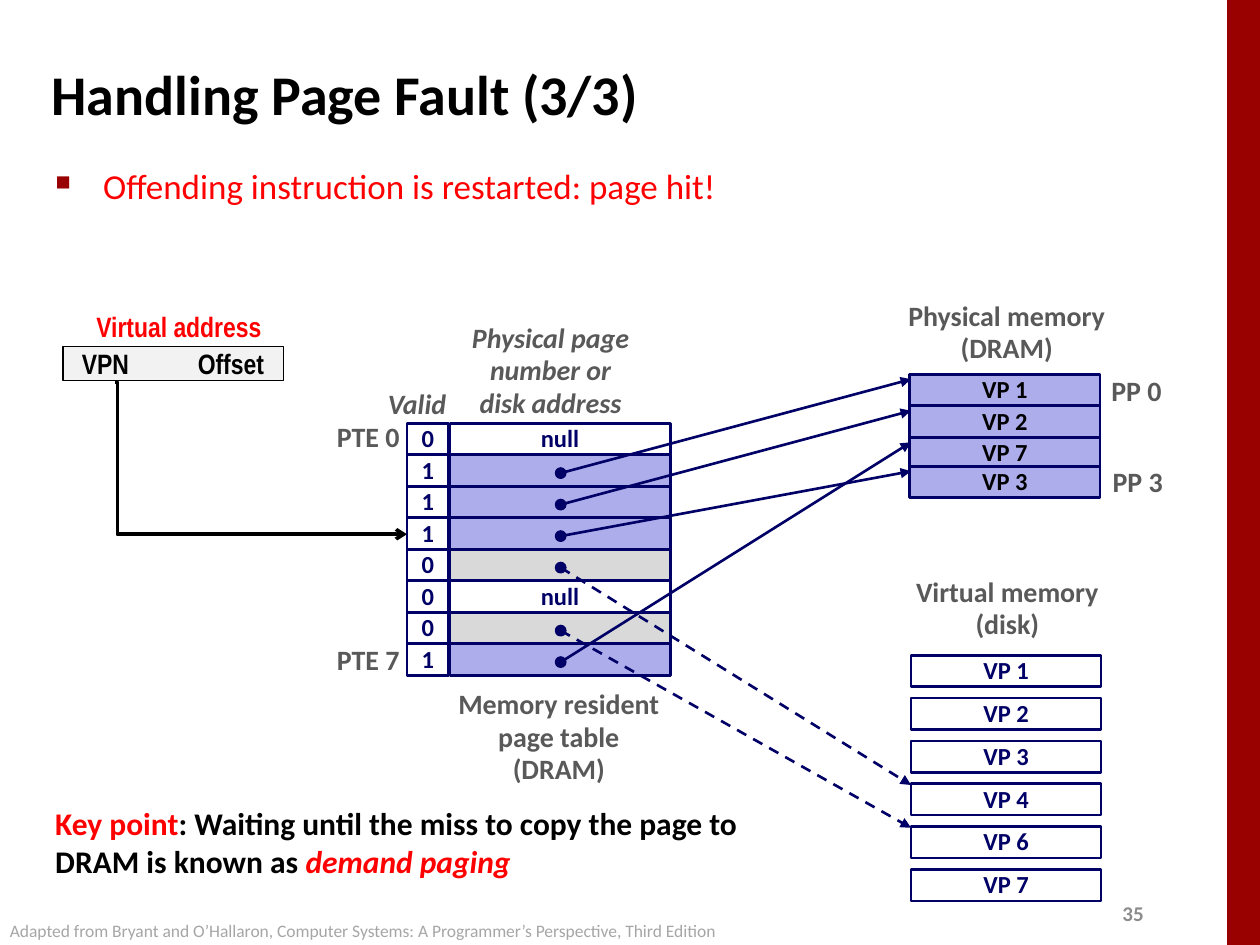
from lxml import etree
from pptx import Presentation
from pptx.dml.color import RGBColor
from pptx.enum.dml import MSO_LINE
from pptx.enum.shapes import MSO_CONNECTOR, MSO_SHAPE
from pptx.enum.text import MSO_ANCHOR, MSO_AUTO_SIZE, PP_ALIGN
from pptx.oxml.ns import qn
from pptx.util import Inches, Pt

LEFT, CENTER, RIGHT = PP_ALIGN.LEFT, PP_ALIGN.CENTER, PP_ALIGN.RIGHT
TOP, MIDDLE = MSO_ANCHOR.TOP, MSO_ANCHOR.MIDDLE
RECT, OVAL = MSO_SHAPE.RECTANGLE, MSO_SHAPE.OVAL
STRAIGHT, ELBOW = MSO_CONNECTOR.STRAIGHT, MSO_CONNECTOR.ELBOW
FIT_SHAPE, DASH = MSO_AUTO_SIZE.SHAPE_TO_FIT_TEXT, MSO_LINE.DASH

NAVY, RESIDENT, ON_DISK = "000066", "ADADEB", "D9D9D9"
BLACK, WHITE, RED, DARK_RED, GRAY = "000000", "FFFFFF", "FF0000", "990000", "595959"


def color(value):
    return RGBColor.from_string(value)


def add_xml(parent, tag, **attributes):
    return etree.SubElement(parent, qn(tag), attributes)


class SlideBuilder:
    font = "Calibri"
    line_spacing = 0.98

    def __init__(self, presentation):
        self.slide = presentation.slides.add_slide(presentation.slide_layouts[5])
        self.shapes = self.slide.shapes

    def style(self, paragraph, size, ink, bold=True, italic=False, align=LEFT, font=None):
        paragraph.alignment = align
        paragraph.font.name = font or self.font
        paragraph.font.size = Pt(size)
        paragraph.font.bold = bold
        paragraph.font.italic = italic
        paragraph.font.color.rgb = color(ink)

    def title(self, text, left, top, width, height):
        title = self.shapes.title
        title.left, title.top = Inches(left), Inches(top)
        title.width, title.height = Inches(width), Inches(height)
        title.text_frame.text = text
        title.text_frame.vertical_anchor = MIDDLE
        self.style(title.text_frame.paragraphs[0], 32, BLACK)

    def label(self, lines, left, top, width, height, size=16, ink=GRAY,
              wrap=False, anchor=TOP, spacing=None, **style):
        box = self.shapes.add_textbox(
            Inches(left), Inches(top), Inches(width), Inches(height))
        frame = box.text_frame
        frame.text = lines
        frame.word_wrap = wrap
        frame.auto_size = FIT_SHAPE
        frame.vertical_anchor = anchor
        for paragraph in frame.paragraphs:
            paragraph.line_spacing = spacing
            self.style(paragraph, size, ink, **style)
        return frame

    def bullet(self, text, left, top, width, height):
        box = self.shapes.add_textbox(
            Inches(left), Inches(top), Inches(width), Inches(height))
        box.text_frame.word_wrap = True
        paragraph = box.text_frame.paragraphs[0]
        paragraph.text = text
        properties = paragraph._p.get_or_add_pPr()
        properties.set("marL", str(Inches(0.38)))
        properties.set("indent", str(-Inches(0.38)))
        add_xml(add_xml(properties, "a:buClr"), "a:srgbClr", val=DARK_RED)
        add_xml(properties, "a:buSzPct", val="60000")
        add_xml(properties, "a:buChar", char="■")
        self.style(paragraph, 20, RED, bold=False)

    def block(self, left, top, width, height, fill=None, line=NAVY, weight=1.5,
              text="", ink=NAVY, size=14, kind=RECT, **style):
        block = self.shapes.add_shape(
            kind, Inches(left), Inches(top), Inches(width), Inches(height))
        block.shadow.inherit = False
        if fill:
            block.fill.solid()
            block.fill.fore_color.rgb = color(fill)
        else:
            block.fill.background()
        if line:
            block.line.color.rgb = color(line)
            block.line.width = Pt(weight)
        else:
            block.line.fill.background()
        if text:
            frame = block.text_frame
            frame.text = text
            frame.word_wrap = False
            frame.vertical_anchor = MIDDLE
            frame.paragraphs[0].line_spacing = self.line_spacing
            self.style(frame.paragraphs[0], size, ink, **{"align": CENTER, **style})
        return block

    def arrow(self, start, end, line=NAVY, weight=1.5, dashed=False,
              head="triangle", kind=STRAIGHT):
        arrow = self.shapes.add_connector(kind, *map(Inches, start + end))
        arrow.line.color.rgb = color(line)
        arrow.line.width = Pt(weight)
        if dashed:
            arrow.line.dash_style = DASH
        add_xml(arrow.line._get_or_add_ln(), "a:tailEnd", type=head)
        add_xml(arrow._element.spPr, "a:effectLst")
        return arrow


def main():
    presentation = Presentation()
    presentation.slide_width, presentation.slide_height = Inches(10), Inches(7.5)
    page = SlideBuilder(presentation)

    # Side band, title and bullet
    page.block(9.74, 0, 0.26, 7.5, DARK_RED, line=None)
    page.title("Handling Page Fault (3/3)", 0.31, 0.31, 9.06, 0.86)
    page.bullet("Offending instruction is restarted: page hit!", 0.34, 1.26, 9.09, 0.83)

    # Physical memory: block tops by virtual page
    row_height, memory_width = 0.25, 1.51
    dram_tops = {"VP 1": 2.97, "VP 2": 3.22, "VP 7": 3.47, "VP 3": 3.7}
    for name, top in dram_tops.items():
        page.block(7.22, top, memory_width, row_height, RESIDENT, text=name, ink=BLACK)

    # Virtual memory on disk
    disk_pages = ("VP 1", "VP 2", "VP 3", "VP 4", "VP 6", "VP 7")
    disk_tops = {name: 5.2 + 0.34 * i for i, name in enumerate(disk_pages)}
    for name, top in disk_tops.items():
        page.block(7.23, top, memory_width, row_height, WHITE, text=name)

    # Page table: valid bit and the page each entry points to
    entries = (("0", None), ("1", "VP 1"), ("1", "VP 2"), ("1", "VP 3"),
               ("0", "VP 4"), ("0", None), ("0", "VP 6"), ("1", "VP 7"))
    table_top, dot_x, dot_size = 3.36, 4.45, 0.08
    pointers = []
    for row, (valid, target) in enumerate(entries):
        top = table_top + row * row_height
        resident = valid == "1"
        fill = RESIDENT if resident else ON_DISK if target else WHITE
        page.block(3.23, top, 0.33, row_height, text=valid)
        page.block(3.57, top, 1.75, row_height, fill, text="" if target else "null")
        if target:
            end_y = dram_tops[target] + 0.04 if resident else disk_tops[target] + 0.01
            pointers.append((top + row_height / 2 + 0.02, end_y, not resident))

    # Pointers from entries to pages
    for dot_y, end_y, dashed in pointers:
        page.arrow((dot_x, dot_y), (7.23, end_y), dashed=dashed)
        page.block(dot_x - dot_size / 2, dot_y - dot_size / 2, dot_size, dot_size,
                   NAVY, weight=1, kind=OVAL)

    # Diagram labels
    spacing = page.line_spacing
    for text, *place in (
        ("Memory resident\npage table\n(DRAM)", 3.51, 5.41, 1.85, 0.89),
        ("Physical memory\n(DRAM)", 7.1, 2.33, 1.78, 0.63),
        ("Virtual memory\n(disk)", 7.15, 4.52, 1.69, 0.63),
        ("PP 0", 8.72, 2.93, 0.6, 0.37),
        ("PP 3", 8.73, 3.65, 0.6, 0.37),
    ):
        page.label(text, *place, align=CENTER, spacing=spacing)
    for text, top in (("PTE 0", 3.29), ("PTE 7", 5.06)):
        page.label(text, 2.57, top, 0.7, 0.37, align=RIGHT, anchor=MIDDLE, spacing=spacing)
    page.label("Valid", 2.98, 3.03, 0.75, 0.37, wrap=True, italic=True, spacing=spacing)
    page.label("Physical page\nnumber or\ndisk address", 3.64, 2.5, 1.46, 0.89,
               align=CENTER, anchor=MIDDLE, italic=True, spacing=spacing)

    # Virtual address and its path to the page table
    page.label("Virtual address", 0.66, 2.41, 1.52, 0.37, ink=RED,
               align=CENTER, font="Arial Narrow")
    address = page.block(0.5, 2.75, 1.75, 0.27, "F2F2F2", BLACK, 1)
    frame = address.text_frame
    frame.text = "VPN\tOffset"
    frame.margin_left = Inches(0.15)
    frame.vertical_anchor = MIDDLE
    fields = frame.paragraphs[0]
    tabs = add_xml(fields._p.get_or_add_pPr(), "a:tabLst")
    add_xml(tabs, "a:tab", pos=str(Inches(0.92)), algn="l")
    page.style(fields, 16, BLACK, font="Arial Narrow")
    lookup = page.arrow((0.91, 3.03), (3.23, 4.24), BLACK, 2, head="arrow", kind=ELBOW)
    bend = lookup._element.spPr.find(qn("a:prstGeom")).find(qn("a:avLst"))
    add_xml(bend, "a:gd", name="adj1", fmla="val 900")

    # Key point
    key_point = page.label("", 0.34, 6.33, 6.33, 0.71, size=18, ink=BLACK, wrap=True)
    for text, ink, italic in (
        ("Key point", RED, False),
        (": Waiting until the miss to copy the page to DRAM is known as ", BLACK, False),
        ("demand paging", RED, True),
    ):
        run = key_point.paragraphs[0].add_run()
        run.text = text
        run.font.color.rgb = color(ink)
        run.font.italic = italic

    # Footer
    page.label("Adapted from Bryant and O’Hallaron, Computer Systems: "
               "A Programmer’s Perspective, Third Edition",
               -0.02, 7.25, 5.95, 0.27, size=10, ink="A6A6A6", bold=False)
    page.label("35", 8.81, 7.1, 0.4, 0.3, size=12, ink="8C8C8C", wrap=True, anchor=MIDDLE)

    presentation.save("out.pptx")


if __name__ == "__main__":
    main()
